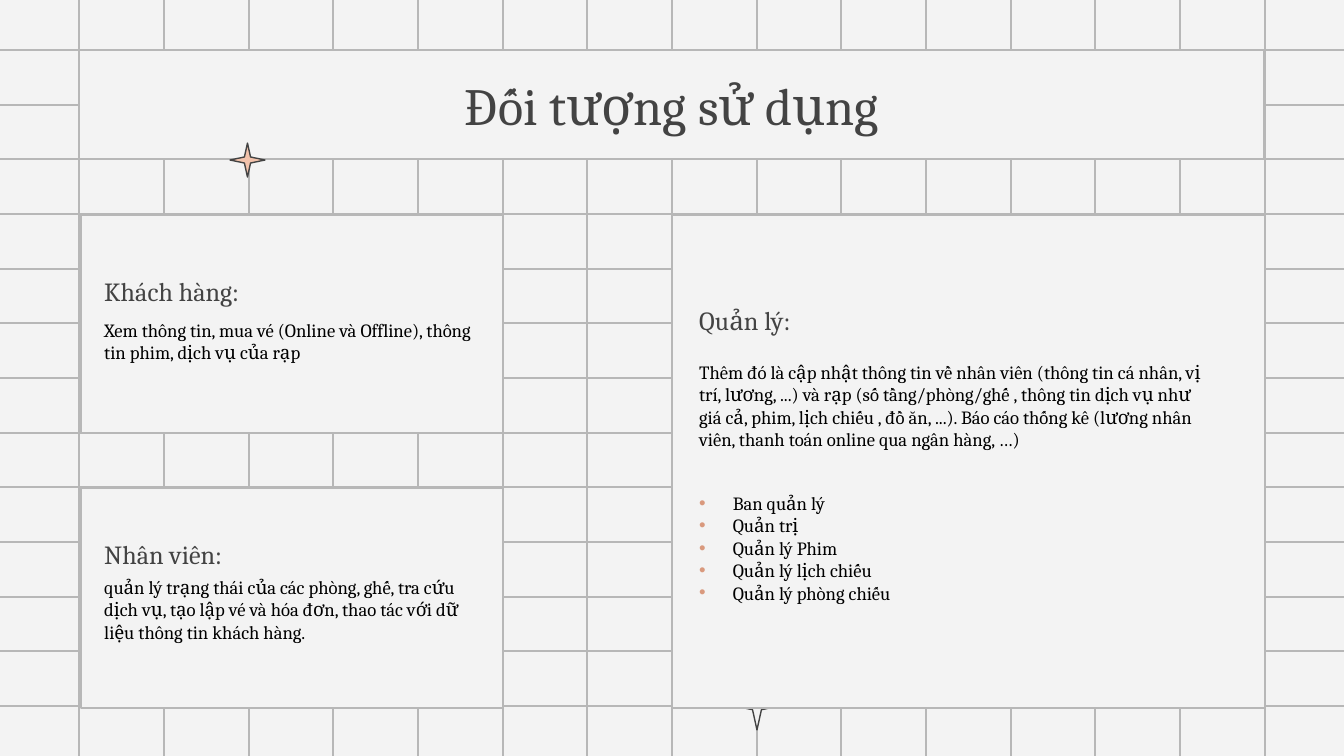
from lxml import etree
from pptx import Presentation
from pptx.dml.color import RGBColor
from pptx.enum.shapes import MSO_CONNECTOR, MSO_SHAPE
from pptx.enum.text import MSO_ANCHOR, MSO_AUTO_SIZE, PP_ALIGN
from pptx.oxml.ns import qn
from pptx.util import Emu, Pt

RECTANGLE, STAR = MSO_SHAPE.RECTANGLE, MSO_SHAPE.STAR_4_POINT
STRAIGHT = MSO_CONNECTOR.STRAIGHT
MIDDLE = MSO_ANCHOR.MIDDLE
CENTER = PP_ALIGN.CENTER
NO_FIT, GROW = MSO_AUTO_SIZE.NONE, MSO_AUTO_SIZE.SHAPE_TO_FIT_TEXT

WIDTH, HEIGHT, BLEED = 1344, 756, 5
MIDDLE_X, MIDDLE_Y = WIDTH // 2, HEIGHT // 2
SCALE = 914400 / 134.4
FONT = "Cambria"
PAPER, GRID, INK, BLACK = "F3F3F3", "B7B7B7", "434343", "000000"
PEACH, BULLET = "F2C2AB", "D9997D"

PANELS = [(81, 215, 422, 218), (672, 215, 593, 493), (81, 488, 422, 220)]
ENTRIES = [
    (91, 269, 399, 46, "Khách hàng:", 14, INK),
    (91, 312, 399, 59, "Xem thông tin, mua vé (Online và Offline), thông tin phim, "
     "dịch vụ của rạp", 10, BLACK),
    (91, 532, 399, 46, "Nhân viên:", 14, INK),
    (91, 569, 399, 103, "quản lý trạng thái của các phòng, ghế, tra cứu dịch vụ, tạo lập vé "
     "và hóa đơn, thao tác với dữ liệu thông tin khách hàng.", 10, BLACK),
    (686, 298, 399, 46, "Quản lý:", 14, INK),
    (686, 354, 543, 126, "Thêm đó là cập nhật thông tin về nhân viên (thông tin cá nhân, vị "
     "trí, lương, ...) và rạp (số tầng/phòng/ghế , thông tin dịch vụ như giá cả, phim, "
     "lịch chiếu , đồ ăn, ...). Báo cáo thống kê (lương nhân viên, thanh toán online qua "
     "ngân hàng, …)", 10, BLACK),
]
ROLES = ["Ban quản lý", "Quản trị", "Quản lý Phim", "Quản lý lịch chiếu", "Quản lý phòng chiếu"]


def px(length):
    """Turn px into EMU."""
    return Emu(round(length * SCALE))


def color(value):
    """Turn a hex string into a colour."""
    return RGBColor.from_string(value)


class SlideBuilder:
    """Holds the style and the current slide."""

    def __init__(self, slide):
        """Take the slide and paint its background."""
        self.slide = slide
        self.shapes = slide.shapes
        slide.background.fill.solid()
        slide.background.fill.fore_color.rgb = color(PAPER)

    def paint(self, shape, fill, outline):
        """Give a shape its fill and outline."""
        shape.fill.solid()
        shape.fill.fore_color.rgb = color(fill)
        shape.line.color.rgb = color(outline)
        shape.line.width = Pt(0.75)

    def set_text(self, frame, text, size, ink):
        """Set the text and format its runs."""
        frame.text = text
        frame.word_wrap = True
        for para in frame.paragraphs:
            for span in para.runs:
                span.font.name = FONT
                span.font.size = Pt(size)
                span.font.color.rgb = color(ink)

    def line(self, x1, y1, x2, y2):
        """Draw one grid line."""
        line = self.shapes.add_connector(STRAIGHT, px(x1), px(y1), px(x2), px(y2))
        line.line.color.rgb = color(GRID)
        line.line.width = Pt(0.75)
        etree.SubElement(line.element.spPr, qn("a:effectLst"))

    def grid(self):
        """Draw the brick grid as two halves in each direction."""
        for top, bottom in ((-BLEED, MIDDLE_Y), (MIDDLE_Y, HEIGHT + BLEED)):
            for column in range(15):
                x = MIDDLE_X + round((column - 7) * 84.67)
                self.line(x, top, x, bottom)
        for left, right in ((-BLEED, MIDDLE_X), (MIDDLE_X, WIDTH + BLEED)):
            for row in range(13):
                y = MIDDLE_Y + round((row - 6) * 54.67)
                self.line(left, y, right, y)

    def shape(self, kind, x, y, width, height, fill, outline):
        """Add a preset shape."""
        shape = self.shapes.add_shape(kind, px(x), px(y), px(width), px(height))
        shape.shadow.inherit = False
        self.paint(shape, fill, outline)
        return shape

    def star(self, x, y, width, height, fill):
        """Add a sparkle."""
        star = self.shape(STAR, x, y, width, height, fill, INK)
        star.adjustments[0] = 0.125

    def title(self, x, y, width, height, text):
        """Format the title and bring it in front of the grid."""
        title = self.shapes.title
        title.left, title.top, title.width, title.height = map(px, (x, y, width, height))
        self.paint(title, PAPER, GRID)
        frame = title.text_frame
        self.set_text(frame, text, 28, INK)
        frame.auto_size = NO_FIT
        frame.vertical_anchor = MIDDLE
        frame.margin_left = frame.margin_right = frame.margin_top = frame.margin_bottom = px(13)
        frame.paragraphs[0].alignment = CENTER
        self.shapes.element.append(title.element)

    def text(self, x, y, width, height, text, size, ink):
        """Add a text box."""
        box = self.shapes.add_textbox(px(x), px(y), px(width), px(height))
        self.set_text(box.text_frame, text, size, ink)
        box.text_frame.auto_size = GROW
        return box

    def bullets(self, x, y, width, height, items):
        """Add a bulleted list."""
        box = self.text(x, y, width, height, "\n".join(items), 10, BLACK)
        for para in box.text_frame.paragraphs:
            properties = para._p.get_or_add_pPr()
            properties.set("marL", "228600")
            properties.set("indent", "-228600")
            tint = etree.SubElement(properties, qn("a:buClr"))
            etree.SubElement(tint, qn("a:srgbClr"), val=BULLET)
            etree.SubElement(properties, qn("a:buFont"), typeface="Arial")
            etree.SubElement(properties, qn("a:buChar"), char="•")


def main():
    """Build and save the deck."""
    deck = Presentation()
    deck.slide_width, deck.slide_height = px(WIDTH), px(HEIGHT)
    page = SlideBuilder(deck.slides.add_slide(deck.slide_layouts[5]))
    page.grid()
    page.star(732, 681, 50, 49, PAPER)
    page.title(79, 50, 1185, 109, "Đối tượng sử dụng")
    for panel in PANELS:
        page.shape(RECTANGLE, *panel, PAPER, GRID)
    page.star(230, 143, 35, 34, PEACH)
    for entry in ENTRIES:
        page.text(*entry)
    page.bullets(686, 485, 543, 126, ROLES)
    deck.save("out.pptx")


if __name__ == "__main__":
    main()
